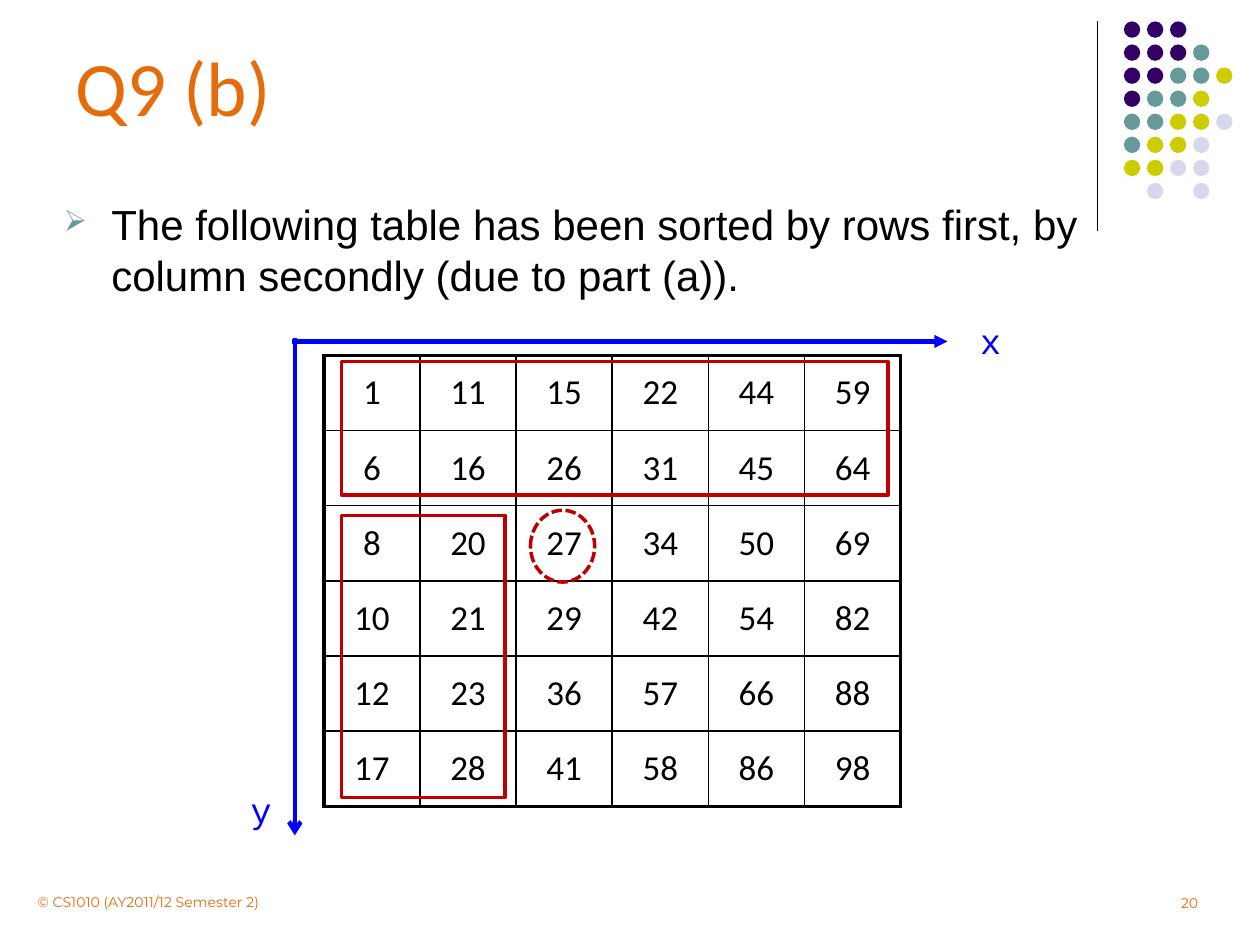
from lxml.etree import SubElement
from pptx import Presentation
from pptx.dml.color import RGBColor
from pptx.enum.dml import MSO_LINE
from pptx.enum.shapes import MSO_CONNECTOR, MSO_SHAPE
from pptx.enum.text import MSO_ANCHOR, PP_ALIGN
from pptx.oxml.ns import qn
from pptx.util import Inches, Pt

COLS, ROWS = 100, 75  # slide grid
UNIT = Inches(0.1)
ORANGE = RGBColor(0xE4, 0x6C, 0x0A)
BLACK = RGBColor(0, 0, 0)
BLUE = RGBColor(0, 0, 0xFF)
RED = RGBColor(0xC0, 0, 0)
PURPLE = RGBColor(0x33, 0, 0x66)
TEAL = RGBColor(0x66, 0x99, 0x99)
OLIVE = RGBColor(0xCC, 0xCC, 0)
LILAC = RGBColor(0xD8, 0xD8, 0xEC)

DOT_COLORS = {"p": PURPLE, "t": TEAL, "o": OLIVE, "l": LILAC}
DOT_ROWS = ["ppp", "pppt", "pptto", "ptto", "ttool", "tool", "ooll", ".l.l"]
VALUES = [
    [1, 11, 15, 22, 44, 59],
    [6, 16, 26, 31, 45, 64],
    [8, 20, 27, 34, 50, 69],
    [10, 21, 29, 42, 54, 82],
    [12, 23, 36, 57, 66, 88],
    [17, 28, 41, 58, 86, 98],
]


def grid(*cells):
    return [round(c * UNIT) for c in cells]


def add_line(s, start, end, color, width, arrow=None):
    line = s.shapes.add_connector(MSO_CONNECTOR.STRAIGHT, *grid(*start, *end))
    line.line.color.rgb = color
    line.line.width = Pt(width)
    if arrow:
        SubElement(line.line._get_or_add_ln(), qn("a:tailEnd"), type=arrow)
    SubElement(line._element.spPr, qn("a:effectLst"))


def add_text(s, box, text, size, font, color, align=PP_ALIGN.LEFT,
             anchor=MSO_ANCHOR.TOP):
    sp = s.shapes.add_textbox(*grid(*box))
    tf = sp.text_frame
    tf.word_wrap = True
    tf.vertical_anchor = anchor
    write(tf.paragraphs[0], text, size, font, color, align)
    return sp


def write(p, text, size, font, color, align):
    p.alignment = align
    r = p.add_run()
    r.text = text
    r.font.size = Pt(size)
    r.font.name = font
    r.font.color.rgb = color


def add_outline(s, kind, box, dash=None):
    sp = s.shapes.add_shape(kind, *grid(*box))
    sp.shadow.inherit = False
    sp.fill.background()
    sp.line.color.rgb = RED
    sp.line.width = Pt(2)
    if dash:
        sp.line.dash_style = dash


def add_corner_dots(s, box):
    left, top, width, height = box
    add_line(s, (left, top), (left, top + height), BLACK, 0.75)
    pitch, size = 1.83, 1.3
    for row, codes in enumerate(DOT_ROWS):
        for col, code in enumerate(codes):
            if code not in DOT_COLORS:
                continue
            dot = s.shapes.add_shape(MSO_SHAPE.OVAL, *grid(
                left + 2.1 + col * pitch, top + row * pitch, size, size))
            dot.shadow.inherit = False
            dot.fill.solid()
            dot.fill.fore_color.rgb = DOT_COLORS[code]
            dot.line.fill.background()


def add_bullet(s, box, text):
    sp = add_text(s, box, text, 24, "Arial", BLACK)
    pPr = sp.text_frame.paragraphs[0]._p.get_or_add_pPr()
    indent = round(3.75 * UNIT)
    pPr.set("marL", str(indent))
    pPr.set("indent", str(-indent))
    color = SubElement(pPr, qn("a:buClr"))
    SubElement(color, qn("a:srgbClr"), val=str(TEAL))
    SubElement(pPr, qn("a:buSzPct"), val="70000")
    SubElement(pPr, qn("a:buChar"), char="➢")


def set_borders(cell, outer_sides):
    tcPr = cell._tc.get_or_add_tcPr()
    for i, side in enumerate("LRTB"):
        width = Pt(2.25 if side in outer_sides else 1)
        ln = SubElement(tcPr, qn(f"a:ln{side}"), w=str(width))
        fill = SubElement(ln, qn("a:solidFill"))
        SubElement(fill, qn("a:srgbClr"), val=str(BLACK))
        tcPr.insert(i, ln)


def add_value_table(s, box):
    n_rows, n_cols = len(VALUES), len(VALUES[0])
    table = s.shapes.add_table(n_rows, n_cols, *grid(*box)).table
    table.first_row = table.horz_banding = False
    for i, values in enumerate(VALUES):
        for j, value in enumerate(values):
            cell = table.cell(i, j)
            cell.fill.background()
            cell.vertical_anchor = MSO_ANCHOR.MIDDLE
            write(cell.text_frame.paragraphs[0], str(value), 20, "Calibri",
                  BLACK, PP_ALIGN.CENTER)
            outer = {"L": j == 0, "R": j == n_cols - 1,
                     "T": i == 0, "B": i == n_rows - 1}
            set_borders(cell, [side for side in outer if outer[side]])


def add_axes(s, box):
    left, top, width, height = box
    label = {"size": 20, "font": "Courier New", "color": BLUE,
             "align": PP_ALIGN.CENTER}
    add_line(s, (left, top - 0.3), (left, top + height), BLUE, 2.5, "arrow")
    add_text(s, (left - 4.5, top + height - 4.2, 3.2, 4.3), "y", **label)
    add_line(s, (left - 0.2, top), (left + width, top), BLUE, 2.5, "triangle")
    add_text(s, (left + width + 1.6, top - 2.2, 3.2, 4.3), "x", **label)


def add_sorted_matrix(s, box):
    """Table with its axes and the marks around the pivot value."""
    left, top, width, height = box
    add_value_table(s, box)
    add_axes(s, (left - 2.3, top - 1.1, width + 6, height + 3.4))
    add_outline(s, MSO_SHAPE.OVAL, (left + 16.4, top + 12.3, 5.1, 5.7),
                MSO_LINE.SQUARE_DOT)
    mark_left = left + 1.4
    add_outline(s, MSO_SHAPE.RECTANGLE, (mark_left, top + 0.5, 43.4, 10.6))
    add_outline(s, MSO_SHAPE.RECTANGLE, (mark_left, top + 12.7, 13, 22.4))


def add_footer(s, box):
    left, top, width, height = box
    style = {"size": 8, "font": "Montserrat", "color": ORANGE}
    number = add_text(s, (left + width - 5.7, top, 5.7, 2), "20", **style,
                      align=PP_ALIGN.RIGHT, anchor=MSO_ANCHOR.BOTTOM)
    tf = number.text_frame
    tf.margin_left = tf.margin_top = tf.margin_bottom = 0
    tf.margin_right = round(0.6 * UNIT)
    add_text(s, (left, top + 0.1, 27.5, height),
             "© CS1010 (AY2011/12 Semester 2)", **style)


def main():
    prs = Presentation()
    prs.slide_width, prs.slide_height = grid(COLS, ROWS)
    s = prs.slides.add_slide(prs.slide_layouts[6])
    add_corner_dots(s, (87.1, 1.7, 10.7, 16.6))
    add_text(s, (5, 2.5, 90, 8.6), "Q9 (b)", 44, "Calibri", ORANGE,
             anchor=MSO_ANCHOR.MIDDLE)
    add_bullet(s, (4.1, 15.3, 91.6, 9.1),
               "The following table has been sorted by rows first, by "
               "column secondly (due to part (a)).")
    add_sorted_matrix(s, (25.7, 28.2, 45.8, 35.8))
    add_footer(s, (2, 70.3, 93.7, 2.4))
    prs.save("out.pptx")


if __name__ == "__main__":
    main()
